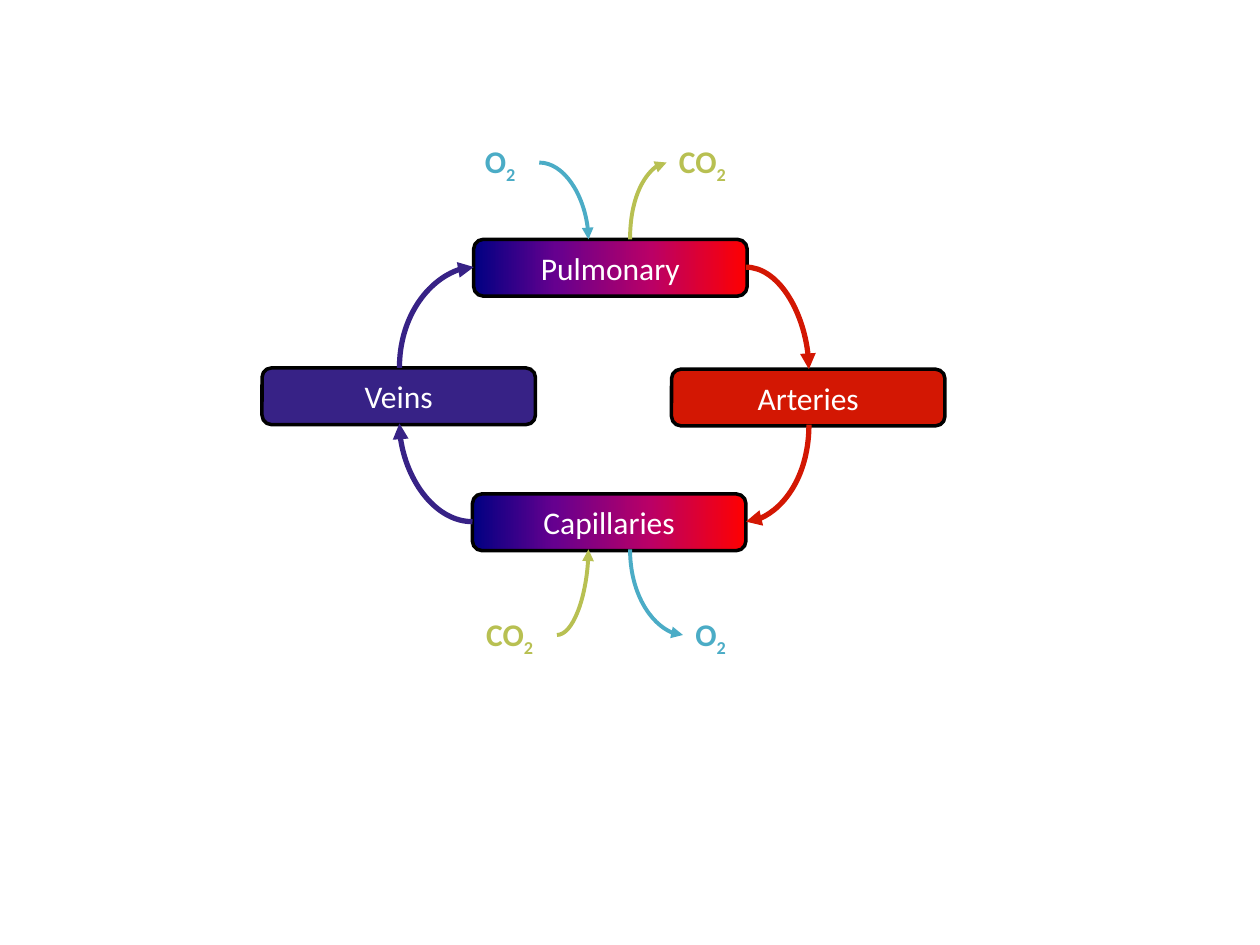
from lxml import etree
from pptx import Presentation
from pptx.dml.color import RGBColor
from pptx.enum.shapes import MSO_CONNECTOR, MSO_SHAPE
from pptx.enum.text import MSO_ANCHOR, MSO_AUTO_SIZE, PP_ALIGN
from pptx.oxml.ns import qn
from pptx.util import Inches, Pt

ROUNDED = MSO_SHAPE.ROUNDED_RECTANGLE
CURVE = MSO_CONNECTOR.CURVE
MIDDLE = MSO_ANCHOR.MIDDLE
GROW = MSO_AUTO_SIZE.SHAPE_TO_FIT_TEXT
CENTER = PP_ALIGN.CENTER

BLACK = RGBColor(0x00, 0x00, 0x00)
WHITE = RGBColor(0xFF, 0xFF, 0xFF)
ARTERY_RED = RGBColor(0xD3, 0x17, 0x03)
VEIN_BLUE = RGBColor(0x37, 0x22, 0x86)
OXYGEN = RGBColor(0x4B, 0xAC, 0xC6)
CARBON = RGBColor(0xB8, 0xC0, 0x52)
BLOOD_STOPS = [
    (0, RGBColor(0x00, 0x00, 0x82)),
    (30, RGBColor(0x66, 0x00, 0x8F)),
    (65, RGBColor(0xBA, 0x00, 0x66)),
    (100, RGBColor(0xFF, 0x00, 0x00)),
    (100, RGBColor(0xFF, 0x82, 0x00)),
]
FONT = "Calibri"
BOX_W, BOX_H = 2.17, 0.45
LABEL_H = 0.4


def add_run(p, text, color, bold=None):
    """Add a formatted run to a paragraph and return it."""
    r = p.add_run()
    r.text = text
    r.font.name, r.font.size, r.font.bold = FONT, Pt(18), bold
    r.font.color.rgb = color
    return r


def fill_gradient(sp, stops):
    """Fill a shape from left to right with the given percent stops."""
    sp.fill.gradient()
    sp.fill.gradient_angle = 0
    gs_list = sp._element.spPr.find(qn("a:gradFill")).find(qn("a:gsLst"))
    for gs in list(gs_list):
        gs_list.remove(gs)
    for percent, color in stops:
        gs = etree.SubElement(gs_list, qn("a:gs"), pos=str(percent * 1000))
        etree.SubElement(gs, qn("a:srgbClr"), val=str(color))


def add_vessel(s, text, left, top, color=None):
    """Add a vessel box; without a colour it gets the blood gradient."""
    sp = s.shapes.add_shape(ROUNDED, Inches(left), Inches(top),
                            Inches(BOX_W), Inches(BOX_H))
    sp.shadow.inherit = False
    if color is None:
        fill_gradient(sp, BLOOD_STOPS)
    else:
        sp.fill.solid()
        sp.fill.fore_color.rgb = color
    sp.line.color.rgb, sp.line.width = BLACK, Pt(2)
    tf = sp.text_frame
    tf.word_wrap, tf.auto_size, tf.vertical_anchor = True, GROW, MIDDLE
    p = tf.paragraphs[0]
    p.alignment = CENTER
    add_run(p, text, WHITE)


def add_gas(s, symbol, left, top, width, color):
    """Add a gas formula ending in a subscript 2."""
    sp = s.shapes.add_textbox(Inches(left), Inches(top),
                              Inches(width), Inches(LABEL_H))
    tf = sp.text_frame
    tf.word_wrap, tf.auto_size = False, GROW
    p = tf.paragraphs[0]
    add_run(p, symbol, color, bold=True)
    r = add_run(p, "2", color, bold=True)
    r.font._element.set("baseline", "-25000")


def add_curve(s, start, end, color, width, turn=0):
    """Add a quarter-curve arrow, its frame turned clockwise by turn degrees."""
    (x1, y1), (x2, y2) = start, end
    dx, dy = x2 - x1, y2 - y1
    u, v = {0: (dx, dy), 90: (dy, -dx), 180: (-dx, -dy), 270: (-dy, dx)}[turn]
    cx, cy = (x1 + x2) / 2, (y1 + y2) / 2
    c = s.shapes.add_connector(CURVE, Inches(cx - u / 2), Inches(cy - v / 2),
                               Inches(cx + u / 2), Inches(cy + v / 2))
    c.line.color.rgb, c.line.width = color, Pt(width)
    sp_pr = c._element.spPr
    sp_pr.find(qn("a:prstGeom")).set("prst", "curvedConnector2")
    if turn:
        sp_pr.find(qn("a:xfrm")).set("rot", str(turn * 60000))
    etree.SubElement(sp_pr.find(qn("a:ln")), qn("a:tailEnd"), type="triangle")
    etree.SubElement(sp_pr, qn("a:effectLst"))


def main():
    """Build the blood circulation slide."""
    prs = Presentation()
    prs.slide_width, prs.slide_height = Inches(10), Inches(7.5)
    s = prs.slides.add_slide(prs.slide_layouts[6])

    for vessel in [
        ("Pulmonary", 3.76, 1.9),
        ("Arteries", 5.33, 2.93, ARTERY_RED),
        ("Capillaries", 3.75, 3.92),
        ("Veins", 2.08, 2.92, VEIN_BLUE),
    ]:
        add_vessel(s, *vessel)

    for start, end, color, turn in [
        ((5.92, 2.12), (6.42, 2.93), ARTERY_RED, 0),
        ((6.42, 3.37), (5.92, 4.14), ARTERY_RED, 90),
        ((3.75, 4.14), (3.17, 3.36), VEIN_BLUE, 180),
        ((3.17, 2.92), (3.76, 2.12), VEIN_BLUE, 90),
    ]:
        add_curve(s, start, end, color, 3, turn)

    for gas in [
        ("O", 3.75, 1.08, 0.53, OXYGEN),
        ("O", 5.42, 4.83, 0.53, OXYGEN),
        ("CO", 3.76, 4.83, 0.66, CARBON),
        ("CO", 5.29, 1.08, 0.66, CARBON),
    ]:
        add_gas(s, *gas)

    for start, end, color, turn in [
        ((4.28, 1.29), (4.67, 1.9), OXYGEN, 0),
        ((5, 4.36), (5.42, 5.04), OXYGEN, 270),
        ((5, 1.9), (5.29, 1.29), CARBON, 90),
        ((4.42, 5.04), (4.67, 4.36), CARBON, 0),
    ]:
        add_curve(s, start, end, color, 2.25, turn)

    prs.save("out.pptx")


main()
